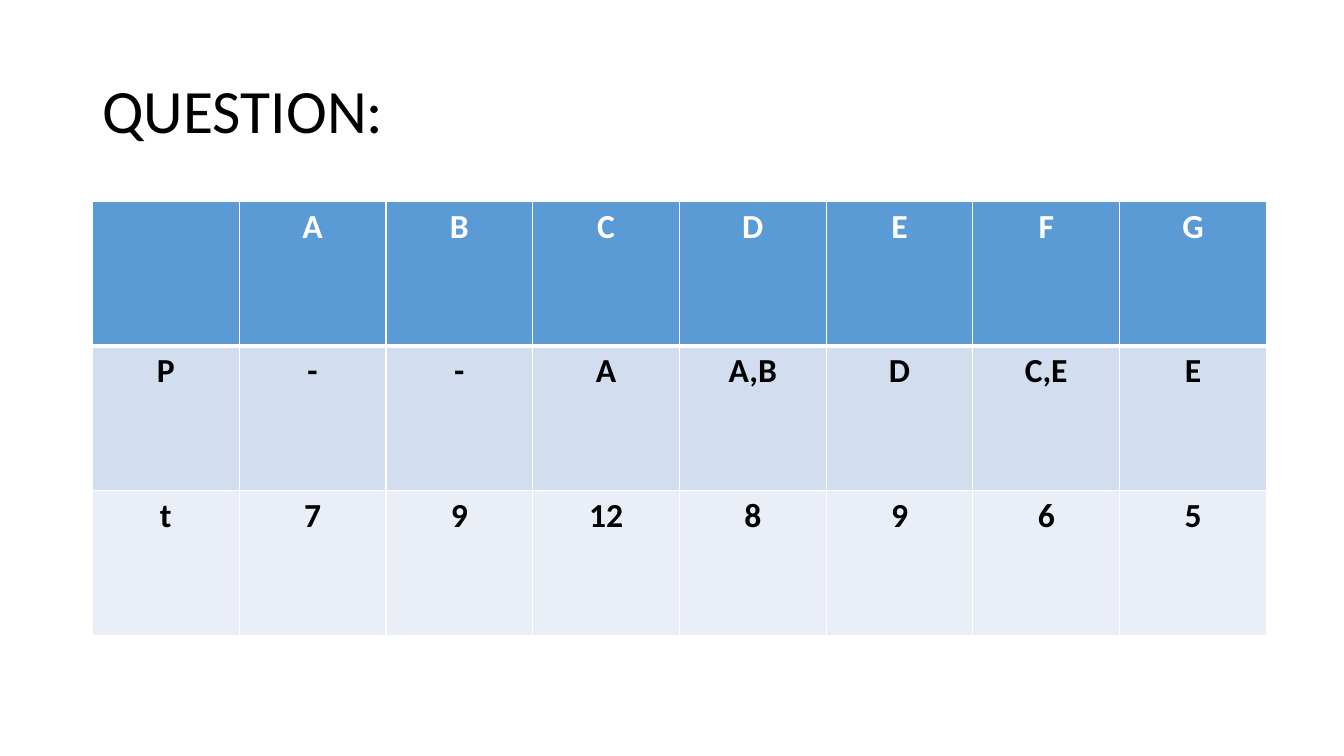
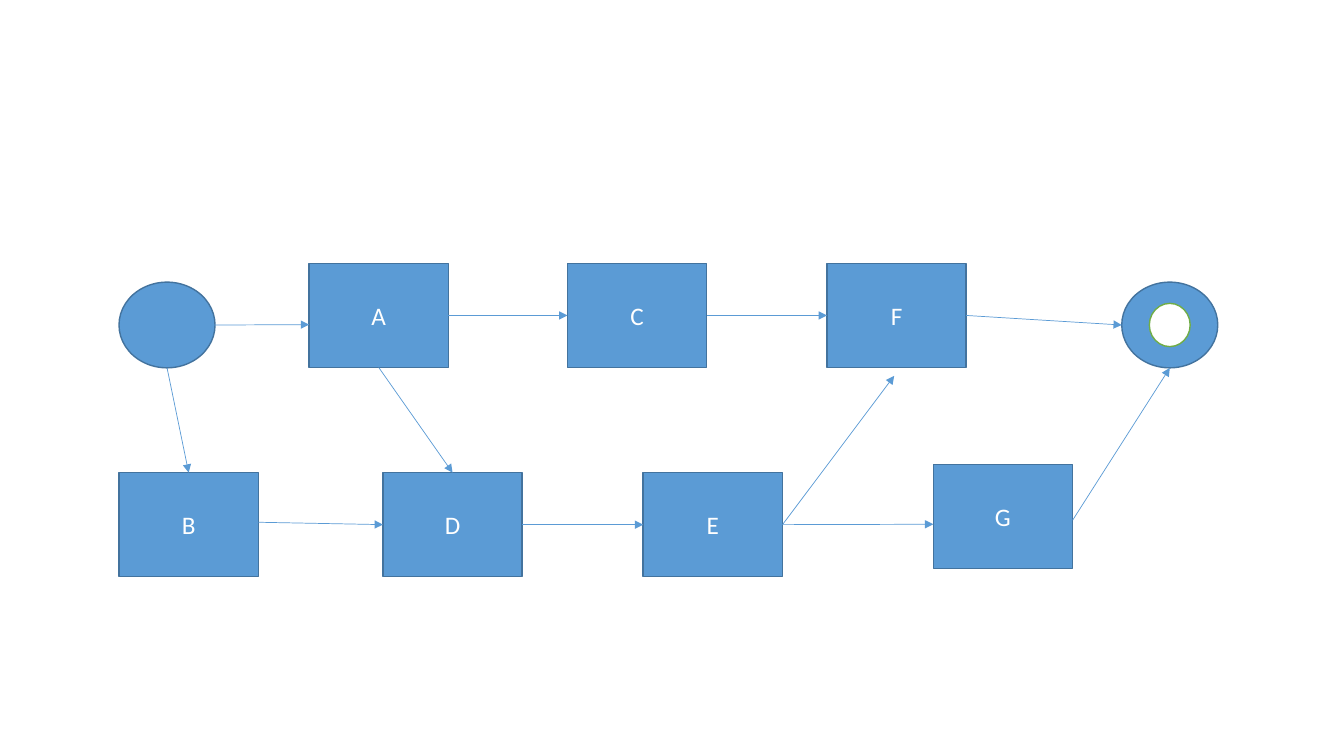
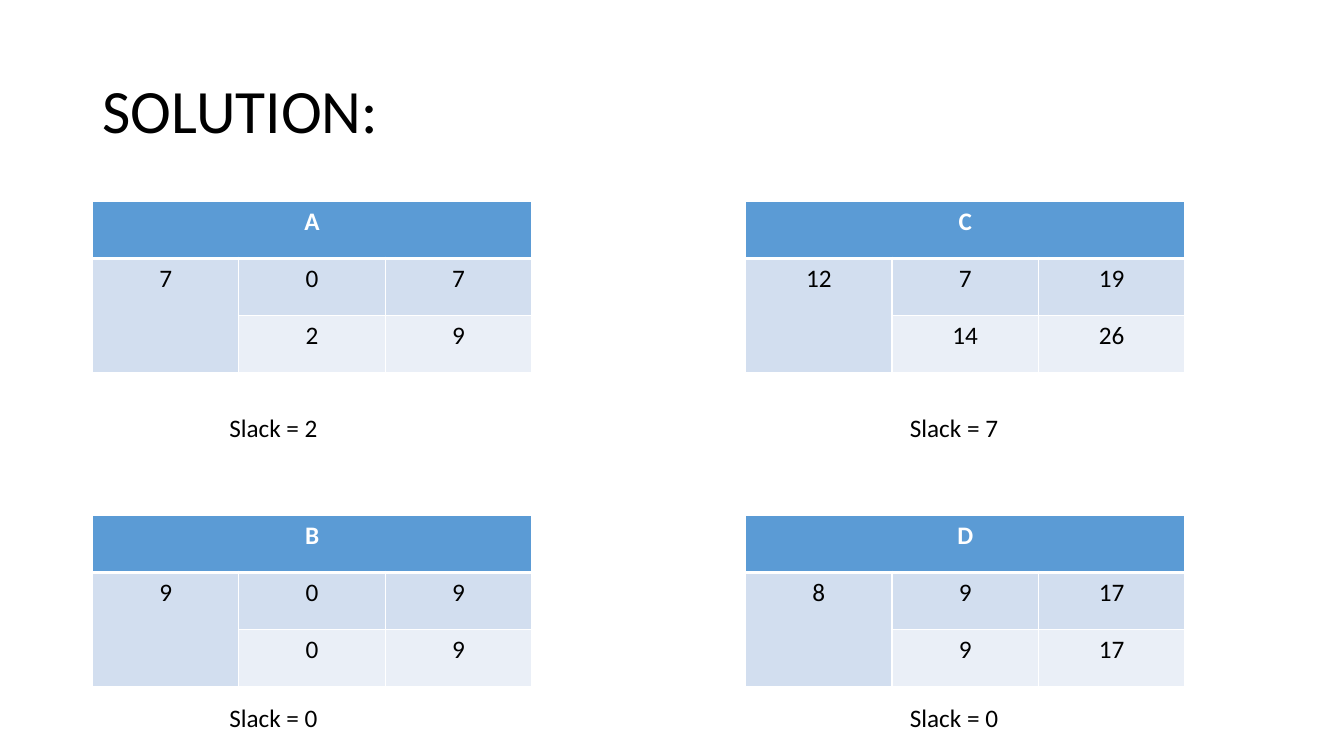
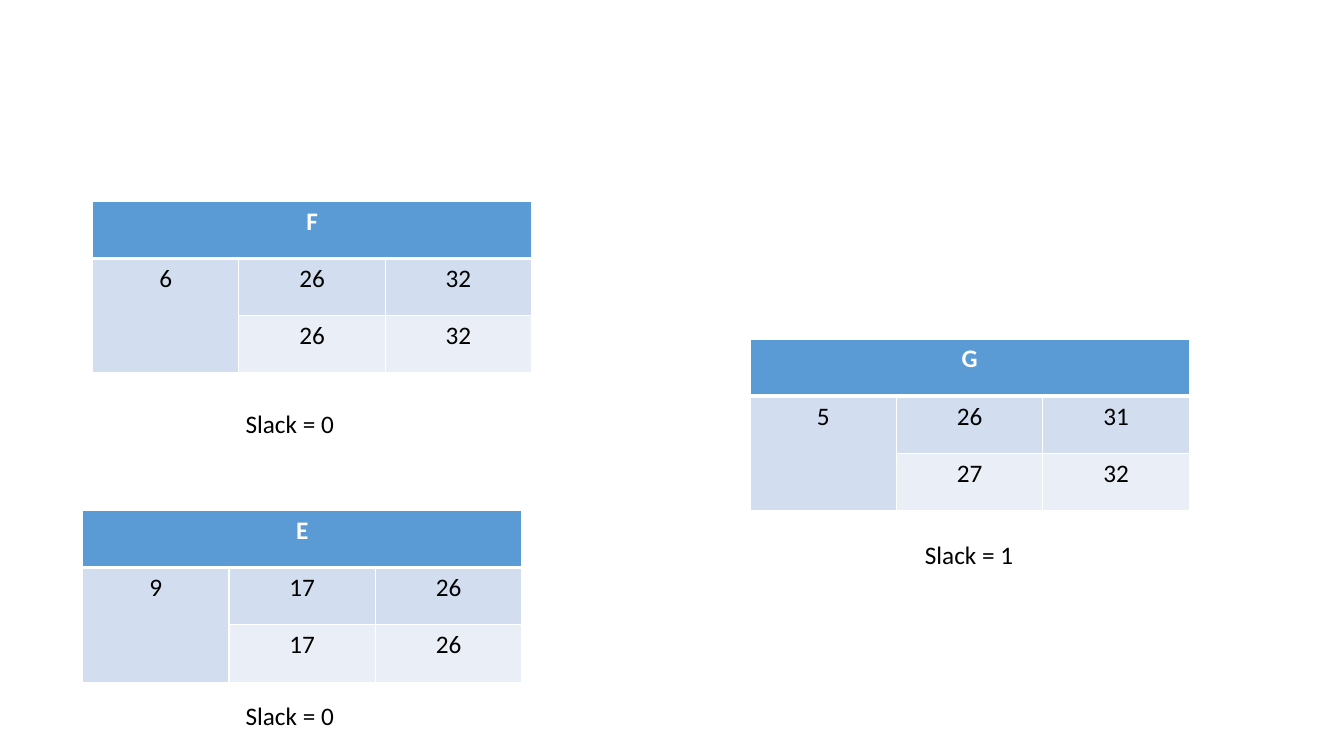
from dataclasses import dataclass

from lxml.etree import SubElement
from pptx import Presentation
from pptx.dml.color import RGBColor
from pptx.enum.shapes import MSO_CONNECTOR as Connector, MSO_SHAPE as Preset
from pptx.enum.text import MSO_ANCHOR as Anchor, MSO_AUTO_SIZE as AutoSize, PP_ALIGN as Align
from pptx.oxml.ns import qn
from pptx.util import Cm, Pt

# Shared style
FONT = "Calibri"
BLUE, DARK_BLUE, GREEN = "5B9BD5", "43739E", "70AD47"
BLACK, WHITE = "000000", "FFFFFF"
ROW_FILLS = [BLUE, "D2DEEF", "EAEFF7"]
TITLE_BOX = (2.33, 1.02, 29.21, 3.68)
TITLE_ONLY, BLANK = 5, 6

# Diagram sizes in centimetres
TASK_SIZE = (3.51, 2.62)
CIRCLE_SIZE = (2.42, 2.16)
CORE_SIZE = (1.03, 1.09)
SIDES = {"left": (0, 0.5), "right": (1, 0.5), "top": (0.5, 0), "bottom": (0.5, 1)}


@dataclass
class Activity:
    name: str
    duration: int
    early_start: int
    late_start: int

    @property
    def slack(self):
        return self.late_start - self.early_start


def color(hex_string):
    return RGBColor.from_string(hex_string)


def add_run(paragraph, text, size, hex_color=BLACK, bold=False):
    run = paragraph.add_run()
    run.text = text
    run.font.name = FONT
    run.font.size = Pt(size)
    run.font.bold = bold
    run.font.color.rgb = color(hex_color)


def add_slide(presentation, title=None):
    layout = BLANK if title is None else TITLE_ONLY
    slide = presentation.slides.add_slide(presentation.slide_layouts[layout])
    if title is not None:
        shape = slide.shapes.title
        shape.left, shape.top, shape.width, shape.height = map(Cm, TITLE_BOX)
        frame = shape.text_frame
        frame.auto_size = AutoSize.NONE
        frame.vertical_anchor = Anchor.MIDDLE
        paragraph = frame.paragraphs[0]
        paragraph.alignment = Align.LEFT
        paragraph.line_spacing = 0.9
        add_run(paragraph, title, 44)
    return slide


# Tables
def set_borders(cell, top, bottom):
    properties = cell._tc.get_or_add_tcPr()
    for tag, width in (("a:lnL", 1), ("a:lnR", 1), ("a:lnT", top), ("a:lnB", bottom)):
        line = SubElement(properties, qn(tag), w=str(Pt(width)))
        fill = SubElement(line, qn("a:solidFill"))
        SubElement(fill, qn("a:srgbClr"), val=WHITE)


def add_grid(slide, box, rows, size, bold_body):
    """Table with equal columns and rows; empty strings leave a cell blank."""
    left, top, width, height = map(Cm, box)
    row_count, column_count = len(rows), len(rows[0])
    table = slide.shapes.add_table(row_count, column_count, left, top, width, height).table
    for row_index, values in enumerate(rows):
        header = row_index == 0
        for column_index, text in enumerate(values):
            cell = table.cell(row_index, column_index)
            set_borders(cell, 3 if row_index == 1 else 1, 3 if header else 1)
            cell.fill.solid()
            cell.fill.fore_color.rgb = color(ROW_FILLS[row_index])
            paragraph = cell.text_frame.paragraphs[0]
            paragraph.alignment = Align.CENTER
            if text:
                add_run(paragraph, text, size, WHITE if header else BLACK, header or bold_body)
    return table


def add_activity(slide, position, activity, note_offset):
    """Table of start and finish times, with its slack written below."""
    left, top = position
    starts = (activity.early_start, activity.late_start)
    early, late = [[str(start), str(start + activity.duration)] for start in starts]
    rows = [[activity.name, "", ""], [str(activity.duration), *early], ["", *late]]
    table = add_grid(slide, (left, top, 11.07, 4.33), rows, 18, False)
    table.cell(0, 0).merge(table.cell(0, 2))
    table.cell(1, 0).merge(table.cell(2, 0))

    note_left, note_top = note_offset
    note = slide.shapes.add_textbox(Cm(left + note_left), Cm(top + note_top), Cm(2.77), Cm(1.02))
    note.text_frame.word_wrap = False
    note.text_frame.auto_size = AutoSize.SHAPE_TO_FIT_TEXT
    add_run(note.text_frame.paragraphs[0], f"Slack = {activity.slack}", 18)


# Network diagram
def add_node(slide, preset, box, text="", fill=BLUE, outline=DARK_BLUE):
    shape = slide.shapes.add_shape(preset, *map(Cm, box))
    shape.shadow.inherit = False
    shape.fill.solid()
    shape.fill.fore_color.rgb = color(fill)
    shape.line.color.rgb = color(outline)
    shape.line.width = Pt(1)
    if text:
        shape.text_frame.vertical_anchor = Anchor.MIDDLE
        paragraph = shape.text_frame.paragraphs[0]
        paragraph.alignment = Align.CENTER
        add_run(paragraph, text, 18, WHITE)


def side_point(box, side, shift=(0, 0)):
    left, top, width, height = box
    across, down = SIDES[side]
    return Cm(left + across * width + shift[0]), Cm(top + down * height + shift[1])


def add_arrow(slide, start, end):
    arrow = slide.shapes.add_connector(Connector.STRAIGHT, *start, *end)
    arrow.line.color.rgb = color(BLUE)
    arrow.line.width = Pt(0.5)
    SubElement(arrow.line._get_or_add_ln(), qn("a:tailEnd"), type="triangle")
    SubElement(arrow._element.spPr, qn("a:effectLst"))


def add_network(slide, left, top):
    """Tasks in two rows between a start and an end circle."""
    task_places = {
        "A": (4.79, 0), "C": (11.3, 0), "F": (17.84, 0),
        "B": (0, 5.27), "D": (6.65, 5.27), "E": (13.21, 5.27), "G": (20.52, 5.06),
    }
    circle_places = {"start": (0, 0.47), "end": (25.27, 0.47)}
    boxes = {}
    for name, (across, down) in task_places.items():
        boxes[name] = (left + across, top + down, *TASK_SIZE)
        add_node(slide, Preset.RECTANGLE, boxes[name], name)
    for name, (across, down) in circle_places.items():
        boxes[name] = (left + across, top + down, *CIRCLE_SIZE)
        add_node(slide, Preset.OVAL, boxes[name])

    # White core of the end circle
    end_left, end_top, end_width, end_height = boxes["end"]
    core_width, core_height = CORE_SIZE
    core_box = (end_left + (end_width - core_width) / 2,
                end_top + (end_height - core_height) / 2, core_width, core_height)
    add_node(slide, Preset.OVAL, core_box, fill=WHITE, outline=GREEN)

    # Arrows: source, side, target, side, shift of the start, shift of the end
    none = (0, 0)
    links = [
        ("start", "right", "A", "left", none, (0, 0.23)),
        ("start", "bottom", "B", "top", none, none),
        ("A", "right", "C", "left", none, none),
        ("B", "right", "D", "left", (0, -0.06), none),
        ("A", "bottom", "D", "top", none, none),
        ("C", "right", "F", "left", none, none),
        ("D", "right", "E", "left", none, none),
        ("E", "right", "G", "left", none, (0, 0.2)),
        ("E", "right", "F", "bottom", none, (-0.06, 0.21)),
        ("F", "right", "end", "left", none, none),
        ("G", "right", "end", "bottom", (0, 0.1), none),
    ]
    for source, source_side, target, target_side, start_shift, end_shift in links:
        add_arrow(slide, side_point(boxes[source], source_side, start_shift),
                  side_point(boxes[target], target_side, end_shift))


presentation = Presentation()
presentation.slide_width, presentation.slide_height = Cm(33.87), Cm(19.05)

# Question: predecessors and durations
question = add_slide(presentation, "QUESTION:")
add_grid(question, (2.33, 5.07, 29.59, 10.95), [
    ["", "A", "B", "C", "D", "E", "F", "G"],
    ["P", "-", "-", "A", "A,B", "D", "C,E", "E"],
    ["t", "7", "9", "12", "8", "9", "6", "5"],
], 24, True)

# Activity network
add_network(add_slide(presentation), 3, 6.64)

# Solution: activities A to D
solution = add_slide(presentation, "SOLUTION:")
left_column, right_column, upper, lower = 2.33, 18.79, 5.07, 12.98
add_activity(solution, (left_column, upper), Activity("A", 7, 0, 2), (3.2, 5.2))
add_activity(solution, (left_column, lower), Activity("B", 9, 0, 0), (3.2, 4.6))
add_activity(solution, (right_column, upper), Activity("C", 12, 7, 14), (3.89, 5.2))
add_activity(solution, (right_column, lower), Activity("D", 8, 9, 9), (3.89, 4.6))

# Solution: activities E to G
solution_end = add_slide(presentation)
add_activity(solution_end, (left_column, upper), Activity("F", 6, 26, 26), (3.61, 5.09))
add_activity(solution_end, (18.9, 8.54), Activity("G", 5, 26, 27), (4.16, 4.93))
add_activity(solution_end, (2.08, 12.86), Activity("E", 9, 17, 17), (3.86, 4.67))

presentation.save("out.pptx")
